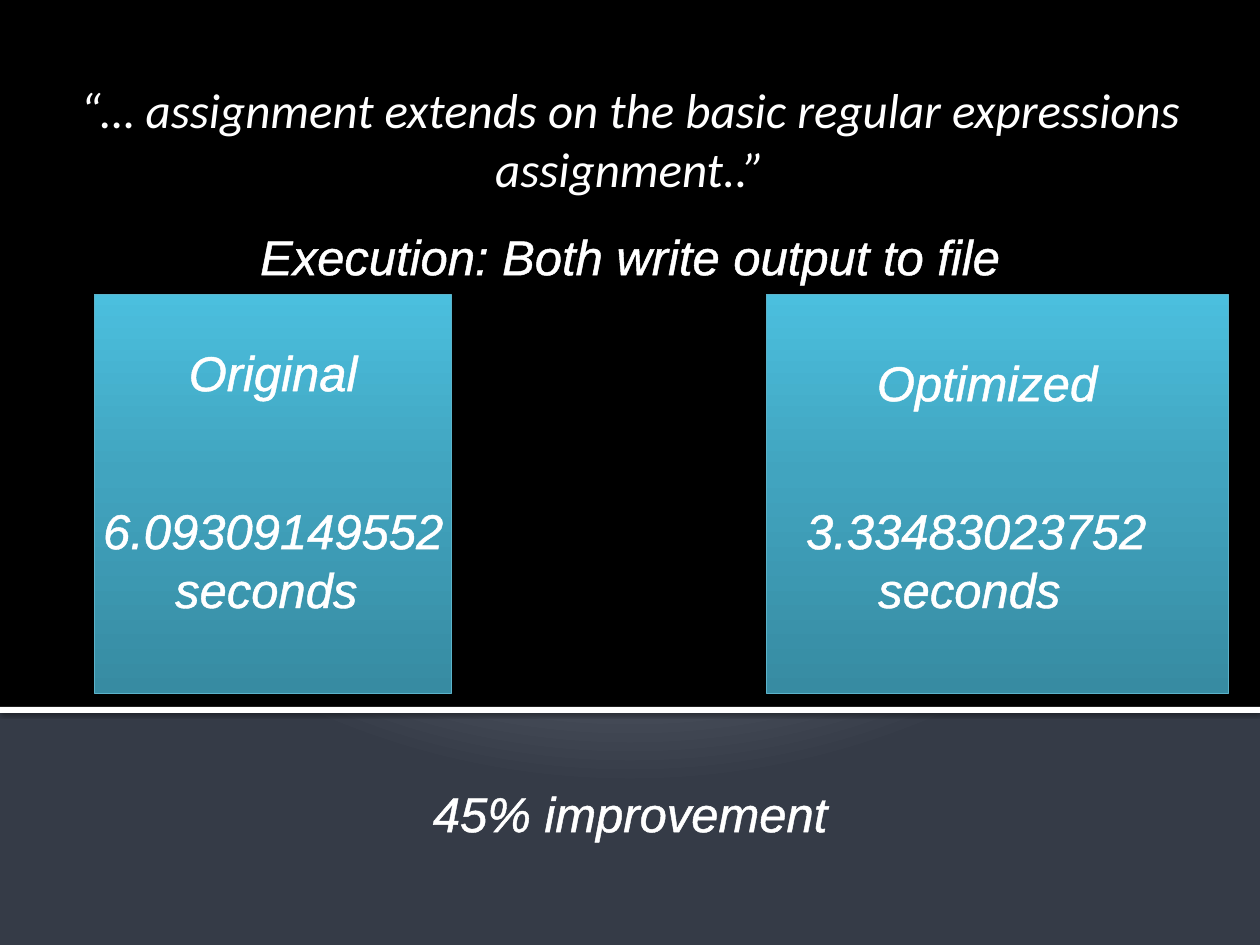
"""Build a slide comparing the running times of two regular expression programs."""
from dataclasses import dataclass

from lxml import etree
from pptx import Presentation
from pptx.dml.color import RGBColor
from pptx.enum.shapes import MSO_SHAPE
from pptx.enum.text import MSO_AUTO_SIZE, PP_ALIGN
from pptx.oxml.ns import qn
from pptx.util import Pt

RECTANGLE = MSO_SHAPE.RECTANGLE
CENTER = PP_ALIGN.CENTER
GROW = MSO_AUTO_SIZE.SHAPE_TO_FIT_TEXT

EMU_PER_PX = 914400 / 126
EMU_PER_POINT = 12700
SLIDE_WIDTH, SLIDE_HEIGHT = 1260, 945
COLUMN_WIDTH = 546
ONE_LINE, TWO_LINES = 72, 131

COLORS = {
    "black": "000000",
    "white": "FFFFFF",
    "box_line": "5BB3CA",
    "box_dark": "378BA2",
    "box_middle": "41A4BF",
    "box_light": "4BBFDE",
    "glow": "C1C5D3",
    "glow_edge": "BFC4D2",
    "slate": "353B47",
}
FONT_FORMAT = {"size": Pt(28), "italic": True}
FRAME_FORMAT = {"word_wrap": True, "auto_size": GROW}
BACKGROUND_STOPS = ((0, "glow"), (12, "glow"), (20, "glow_edge"), (100, "slate"))
BOX_STOPS = ((0, "box_dark"), (55, "box_middle"), (100, "box_light"))


@dataclass(frozen=True)
class Area:
    left: int
    top: int
    width: int
    height: int

    def emu(self) -> list[int]:
        return [round(length * EMU_PER_PX)
                for length in (self.left, self.top, self.width, self.height)]


@dataclass(frozen=True)
class Shadow:
    opacity: int
    blur: float
    distance: float


@dataclass(frozen=True)
class Caption:
    text: str
    area: Area
    font: str = "Arial"
    outlined: bool = True


BLACK_PANEL = Area(0, 0, SLIDE_WIDTH, 708)
DIVIDER = Area(0, 707, SLIDE_WIDTH, 6)
DIVIDER_SHADOW = Shadow(60, 2.5, 0.8)
BOXES = (Area(766, 294, 462, 399), Area(94, 294, 357, 399))
BOX_SHADOW = Shadow(38, 3.1, 2)
CAPTIONS = (
    Caption("“… assignment extends on the basic regular expressions assignment..”",
            Area(0, 73, SLIDE_WIDTH, TWO_LINES), "Calibri", False),
    Caption("Execution: Both write output to file", Area(0, 220, SLIDE_WIDTH, ONE_LINE)),
    Caption("Original", Area(0, 336, COLUMN_WIDTH, ONE_LINE)),
    Caption("Optimized", Area(714, 346, COLUMN_WIDTH, ONE_LINE)),
    Caption("6.09309149552 seconds ", Area(0, 494, COLUMN_WIDTH, TWO_LINES)),
    Caption("3.33483023752 seconds ", Area(703, 494, COLUMN_WIDTH, TWO_LINES)),
    Caption("45% improvement", Area(357, 777, COLUMN_WIDTH, ONE_LINE)),
)


def color(name: str) -> RGBColor:
    return RGBColor.from_string(COLORS[name])


def add_child(parent, tag: str, **attributes):
    values = {key: str(value) for key, value in attributes.items()}
    return etree.SubElement(parent, qn(tag), values)


def set_gradient(fill, owner, stops: tuple):
    """Give the fill these stops and return its emptied gradient element."""
    fill.gradient()
    gradient = owner.find(".//" + qn("a:gradFill"))
    for child in list(gradient):
        gradient.remove(child)
    stop_list = add_child(gradient, "a:gsLst")
    for position, name in stops:
        stop = add_child(stop_list, "a:gs", pos=position * 1000)
        add_child(stop, "a:srgbClr", val=COLORS[name])
    return gradient


def set_background(slide) -> None:
    gradient = set_gradient(slide.background.fill, slide.element, BACKGROUND_STOPS)
    path_shade = add_child(gradient, "a:path", path="circle")
    add_child(path_shade, "a:fillToRect", l=10000, t=-25000, r=10000, b=125000)


def add_rectangle(slide, area: Area, shadow: Shadow | None = None):
    shape = slide.shapes.add_shape(RECTANGLE, *area.emu())
    shape.shadow.inherit = False
    shape.line.fill.background()
    if shadow:
        effects = shape.element.spPr.find(qn("a:effectLst"))
        outer = add_child(effects, "a:outerShdw",
                          blurRad=round(shadow.blur * EMU_PER_POINT),
                          dist=round(shadow.distance * EMU_PER_POINT),
                          dir=90 * 60000, algn="ctr", rotWithShape=0)
        shade = add_child(outer, "a:srgbClr", val=COLORS["black"])
        add_child(shade, "a:alpha", val=shadow.opacity * 1000)
    return shape


def add_band(slide, area: Area, name: str, shadow: Shadow | None = None) -> None:
    shape = add_rectangle(slide, area, shadow)
    shape.fill.solid()
    shape.fill.fore_color.rgb = color(name)


def add_box(slide, area: Area) -> None:
    shape = add_rectangle(slide, area, BOX_SHADOW)
    shape.line.color.rgb = color("box_line")
    shape.line.width = Pt(0.5)
    gradient = set_gradient(shape.fill, shape.element.spPr, BOX_STOPS)
    add_child(gradient, "a:lin", ang=270 * 60000, scaled=0)


def add_caption(slide, caption: Caption) -> None:
    frame = slide.shapes.add_textbox(*caption.area.emu()).text_frame
    for name, value in FRAME_FORMAT.items():
        setattr(frame, name, value)
    paragraph = frame.paragraphs[0]
    paragraph.alignment = CENTER
    run = paragraph.add_run()
    run.text = caption.text
    for name, value in {**FONT_FORMAT, "name": caption.font}.items():
        setattr(run.font, name, value)
    run.font.color.rgb = color("white")
    if caption.outlined:
        properties = run.font._element
        outline = add_child(properties, "a:ln", w=round(1.45 * EMU_PER_POINT))
        add_child(add_child(outline, "a:solidFill"), "a:srgbClr", val=COLORS["white"])
        properties.insert(0, outline)


def main() -> None:
    presentation = Presentation()
    presentation.slide_width = round(SLIDE_WIDTH * EMU_PER_PX)
    presentation.slide_height = round(SLIDE_HEIGHT * EMU_PER_PX)
    slide = presentation.slides.add_slide(presentation.slide_layouts[6])
    set_background(slide)
    add_band(slide, BLACK_PANEL, "black")
    add_band(slide, DIVIDER, "white", DIVIDER_SHADOW)
    for area in BOXES:
        add_box(slide, area)
    for caption in CAPTIONS:
        add_caption(slide, caption)
    presentation.save("out.pptx")


if __name__ == "__main__":
    main()
